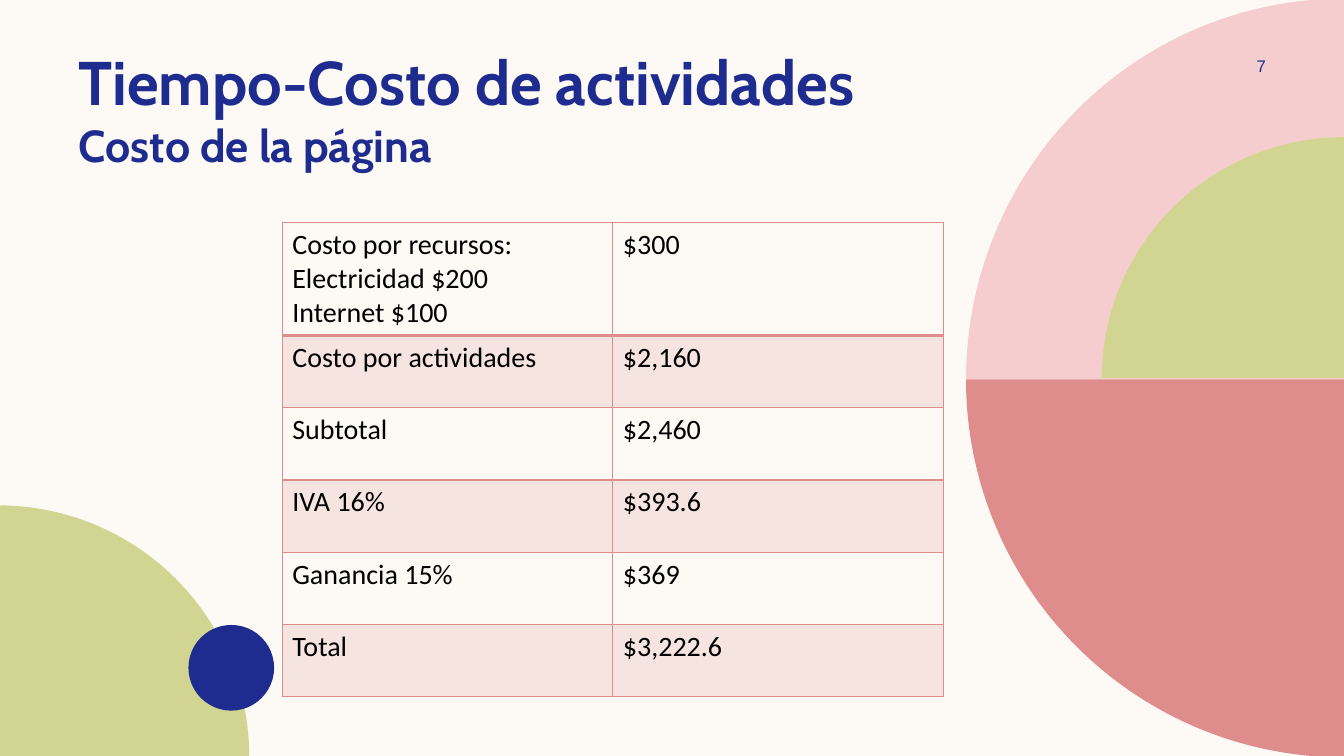
from dataclasses import dataclass

from lxml import etree
from pptx import Presentation
from pptx.dml.color import RGBColor
from pptx.enum.shapes import MSO_SHAPE
from pptx.enum.text import MSO_ANCHOR, MSO_AUTO_SIZE, PP_ALIGN
from pptx.oxml.ns import qn
from pptx.util import Pt

WEDGE, OVAL = MSO_SHAPE.PIE_WEDGE, MSO_SHAPE.OVAL
TOP, MIDDLE = MSO_ANCHOR.TOP, MSO_ANCHOR.MIDDLE
LEFT, CENTER = PP_ALIGN.LEFT, PP_ALIGN.CENTER
FIXED = MSO_AUTO_SIZE.NONE


@dataclass(frozen=True)
class Theme:
    """Colours, fonts and type sizes of the slide."""
    paper: str = "FDFAF6"
    pink: str = "F5CDCE"
    rose: str = "DE8C8C"
    green: str = "D2D592"
    navy: str = "1F2C8F"
    ink: str = "000000"
    head: str = "Cabin"
    body: str = "Calibri"
    folio: str = "Arial"
    title: int = 44
    subtitle: int = 32
    cell: int = 20
    number: int = 12
    tint: int = 20


class Page:
    """Draws styled elements on one slide."""

    def __init__(self, slide, theme):
        """Keep the slide and theme, and paint the background."""
        self.slide, self.theme = slide, theme
        self.paint(slide.background.fill, theme.paper)

    def paint(self, fill, color):
        """Give a fill one solid colour."""
        fill.solid()
        fill.fore_color.rgb = RGBColor.from_string(color)

    def style(self, para, face, color, size=None, bold=False):
        """Set the font of a paragraph."""
        font = para.font
        font.name, font.bold = face, bold
        font.color.rgb = RGBColor.from_string(color)
        if size:
            font.size = Pt(size)

    def shape(self, kind, box, color, turn=0):
        """Add a flat preset shape."""
        item = self.slide.shapes.add_shape(kind, *map(Pt, box))
        item.shadow.inherit = False
        item.line.fill.background()
        item.rotation = turn
        self.paint(item.fill, color)

    def title(self, box, head, sub):
        """Fill the title placeholder with a heading and a smaller line."""
        item = self.slide.shapes.title
        item.left, item.top, item.width, item.height = map(Pt, box)
        frame = item.text_frame
        frame.word_wrap, frame.auto_size = True, FIXED
        frame.vertical_anchor = TOP
        para = frame.paragraphs[0]
        para.alignment = LEFT
        self.style(para, self.theme.head, self.theme.navy, bold=True)
        first = para.add_run()
        first.text, first.font.size = head, Pt(self.theme.title)
        para.add_line_break()
        second = para.add_run()
        second.text, second.font.size = sub, Pt(self.theme.subtitle)

    def number(self, box, text):
        """Add the page number."""
        frame = self.slide.shapes.add_textbox(*map(Pt, box)).text_frame
        frame.word_wrap, frame.vertical_anchor = True, MIDDLE
        para = frame.paragraphs[0]
        para.text, para.alignment = text, CENTER
        self.style(para, self.theme.folio, self.theme.navy, self.theme.number)

    def border(self, cell, side, width):
        """Draw one edge of a cell."""
        props = cell._tc.get_or_add_tcPr()
        line = etree.SubElement(props, qn(f"a:ln{side}"), w=str(Pt(width)))
        fill = etree.SubElement(line, qn("a:solidFill"))
        etree.SubElement(fill, qn("a:srgbClr"), val=self.theme.rose)

    def shade(self, cell):
        """Give a cell a sheer tint."""
        self.paint(cell.fill, self.theme.rose)
        color = cell._tc.tcPr.find(qn("a:solidFill"))[0]
        etree.SubElement(color, qn("a:alpha"), val=str(self.theme.tint * 1000))

    def table(self, box, tall, rows):
        """Add a banded table with a taller first row."""
        size = len(rows), len(rows[0])
        table = self.slide.shapes.add_table(*size, *map(Pt, box)).table
        table.first_row = table.horz_banding = False
        rest = (box[3] - tall) / (len(rows) - 1)
        for r, row in enumerate(rows):
            table.rows[r].height = Pt(rest if r else tall)
            for c, text in enumerate(row):
                cell = table.cell(r, c)
                cell.text = text
                for para in cell.text_frame.paragraphs:
                    self.style(para, self.theme.body, self.theme.ink,
                               self.theme.cell)
                for side in "LRTB":
                    thick = (r, side) in ((0, "B"), (1, "T"))
                    self.border(cell, side, 2 if thick else 1)
                if r % 2:
                    self.shade(cell)
                else:
                    cell.fill.background()


def main():
    """Build the cost slide and save it."""
    deck = Presentation()
    deck.slide_width, deck.slide_height = Pt(960), Pt(540)
    theme = Theme()
    page = Page(deck.slides.add_slide(deck.slide_layouts[5]), theme)
    page.shape(WEDGE, (690, -1, 270, 272), theme.pink)
    page.shape(WEDGE, (690, 271, 270, 270), theme.rose, 270)
    page.shape(WEDGE, (787, 98, 173, 172), theme.green)
    page.shape(WEDGE, (-1, 361, 179, 179), theme.green, 90)
    page.shape(OVAL, (134.6, 446.4, 61.2, 61.2), theme.navy)
    page.title((49, 27.4, 688, 60.5), "Tiempo-Costo de actividades",
               "Costo de la página")
    page.table((201.6, 159, 472.4, 338.6), 80.6, [
        ("Costo por recursos:\nElectricidad $200\nInternet $100", "$300"),
        ("Costo por actividades", "$2,160"),
        ("Subtotal", "$2,460"),
        ("IVA 16%", "$393.6"),
        ("Ganancia 15%", "$369"),
        ("Total", "$3,222.6"),
    ])
    page.number((862, 36, 78, 21.6), "7")
    deck.save("out.pptx")


if __name__ == "__main__":
    main()
